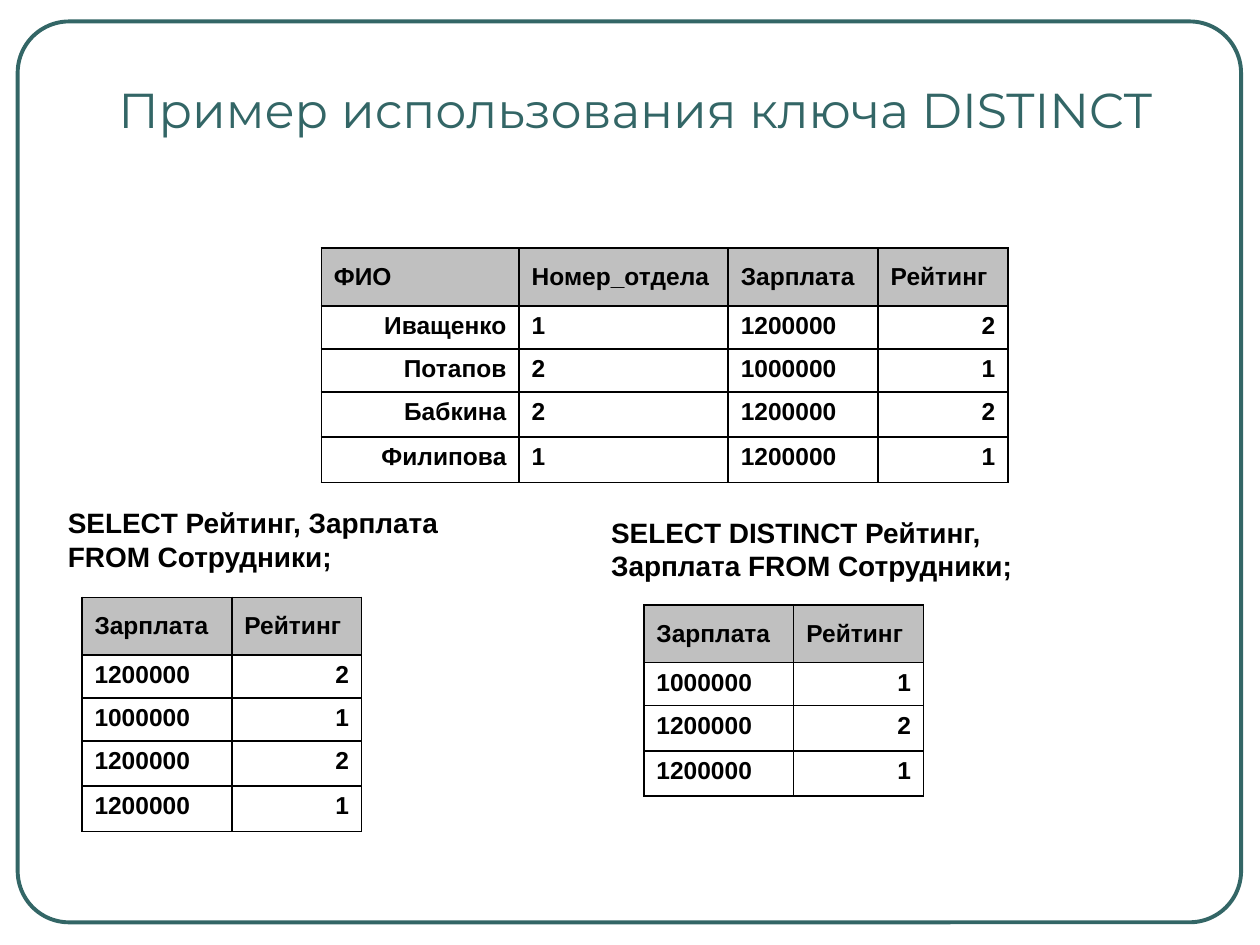
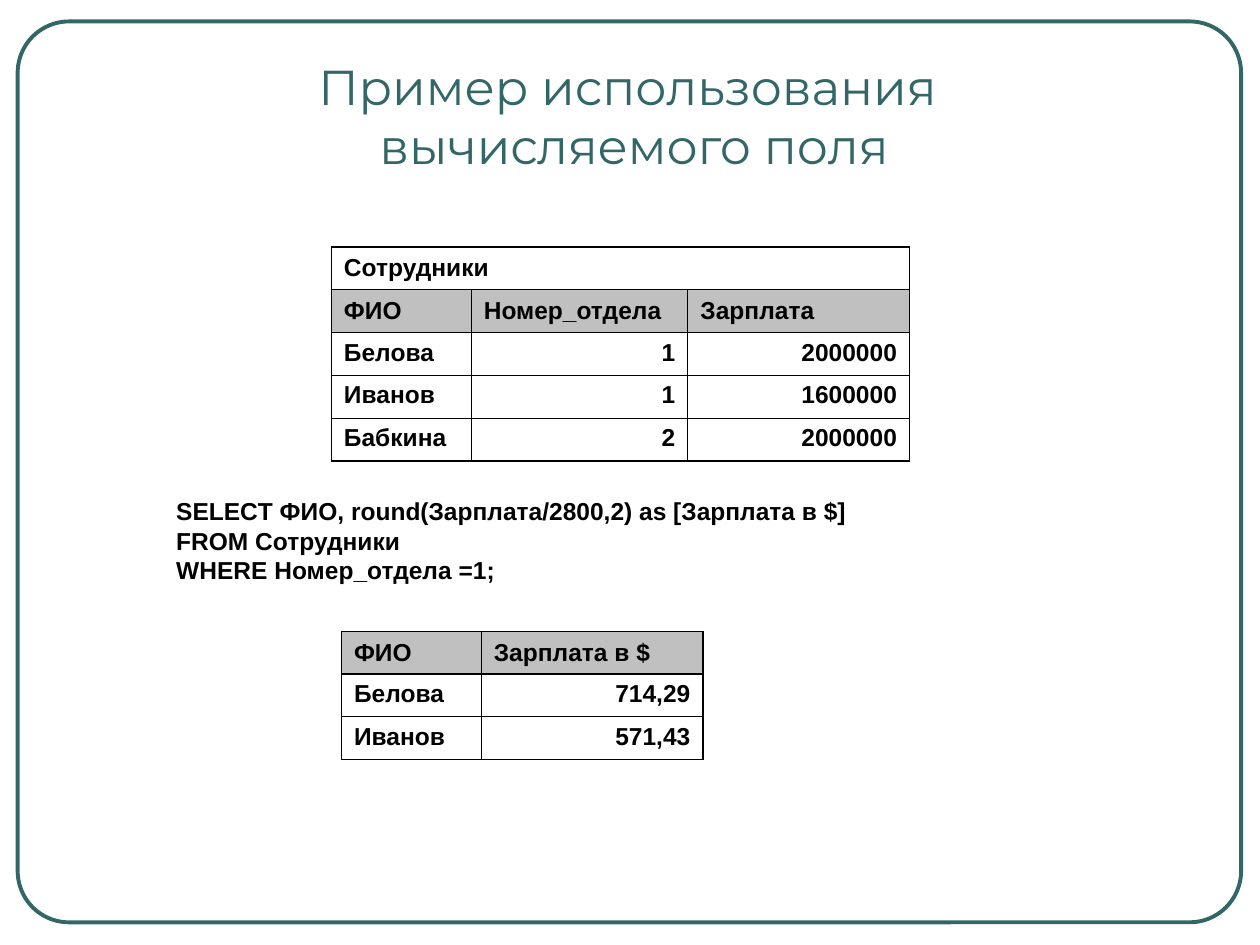
from lxml.etree import SubElement
from pptx import Presentation
from pptx.dml.color import RGBColor
from pptx.enum.shapes import MSO_SHAPE
from pptx.enum.text import MSO_ANCHOR, MSO_AUTO_SIZE, PP_ALIGN
from pptx.oxml.ns import qn
from pptx.util import Inches, Pt

COLORS = {"teal": "336666", "black": "000000", "header": "C0C0C0", "white": "FFFFFF"}
ALIGNMENTS = {"l": PP_ALIGN.LEFT, "r": PP_ALIGN.RIGHT, "c": PP_ALIGN.CENTER}
NAME, DEPARTMENT, SALARY, RATING = "ФИО", "Номер_отдела", "Зарплата", "Рейтинг"
STAFF_WIDTHS = [1.57, 1.66, 1.19, 1.03]
PAY_WIDTHS = [1.11, 1.72, 1.76]
HEADER_HEIGHT, ROW_HEIGHT, TALL_ROW_HEIGHT = 0.46, 0.34, 0.36


def color(name):
    """Return the named colour."""
    return RGBColor.from_string(COLORS[name])


def style(para, size, font="Arial", tint="black", bold=True, align="l"):
    """Format a whole paragraph."""
    para.alignment = ALIGNMENTS[align]
    para.font.size = Pt(size)
    para.font.name = font
    para.font.bold = bold
    para.font.color.rgb = color(tint)


def add_frame(page):
    """Put the rounded frame on the layout that the page uses."""
    frame = page.shapes.add_shape(
        MSO_SHAPE.ROUNDED_RECTANGLE, Inches(0.14), Inches(0.17), Inches(9.71), Inches(7.15))
    frame.adjustments[0] = 0.057
    frame.shadow.inherit = False
    frame.fill.background()
    frame.line.color.rgb = color("teal")
    frame.line.width = Pt(2.25)
    page.slide_layout.shapes.element.append(frame.element)


def add_title(page, text, left, top):
    """Fill and format the title placeholder."""
    title = page.shapes.title
    title.left, title.top = Inches(left), Inches(top)
    title.width, title.height = Inches(8.42), Inches(0.73)
    frame = title.text_frame
    frame.text = text
    frame.auto_size = MSO_AUTO_SIZE.NONE
    frame.vertical_anchor = MSO_ANCHOR.TOP
    for para in frame.paragraphs:
        style(para, 28, "Montserrat", "teal", False, "c")


def add_query(page, text, left, top, width, height, size, wrap=True, inset=0.1):
    """Add the text of a query."""
    box = page.shapes.add_textbox(Inches(left), Inches(top), Inches(width), Inches(height))
    frame = box.text_frame
    frame.word_wrap = wrap
    frame.vertical_anchor = MSO_ANCHOR.MIDDLE
    frame.margin_left = frame.margin_right = Inches(inset)
    frame.text = text
    for para in frame.paragraphs:
        style(para, size)


def add_borders(cell, width):
    """Draw a black line on every side of a cell."""
    properties = cell._tc.get_or_add_tcPr()
    for side in ("a:lnL", "a:lnR", "a:lnT", "a:lnB"):
        line = SubElement(properties, qn(side), w=str(Pt(width)))
        fill = SubElement(line, qn("a:solidFill"))
        SubElement(fill, qn("a:srgbClr"), val=COLORS["black"])


def add_grid(page, rows, left, top, widths, heights, aligns, border, header=0):
    """Add a table whose rows above the header are merged captions."""
    shape = page.shapes.add_table(
        len(rows), len(widths), Inches(left), Inches(top),
        Inches(sum(widths)), Inches(sum(heights)))
    table = shape.table
    table.first_row = table.horz_banding = False
    for column, width in zip(table.columns, widths):
        column.width = Inches(width)
    for index, (row, height) in enumerate(zip(rows, heights)):
        table.rows[index].height = Inches(height)
        for position, align in enumerate(aligns):
            cell = table.cell(index, position)
            add_borders(cell, border)
            cell.fill.solid()
            cell.fill.fore_color.rgb = color("header" if index == header else "white")
            if index <= header:
                cell.vertical_anchor = MSO_ANCHOR.MIDDLE
            if position < len(row):
                cell.text = row[position]
                style(cell.text_frame.paragraphs[0], 14, align=align if index > header else "l")
        if index < header:
            table.cell(index, 0).merge(table.cell(index, len(widths) - 1))


def build_distinct(page):
    """Compare a query with and without DISTINCT."""
    add_title(page, "Пример использования ключа DISTINCT", 0.83, 0.58)
    staff = [
        ("Иващенко", "1", "1200000", "2"),
        ("Потапов", "2", "1000000", "1"),
        ("Бабкина", "2", "1200000", "2"),
        ("Филипова", "1", "1200000", "1"),
    ]
    heights = [HEADER_HEIGHT] + [ROW_HEIGHT] * 2 + [TALL_ROW_HEIGHT] * 2
    add_grid(page, [(NAME, DEPARTMENT, SALARY, RATING)] + staff,
             2.55, 1.97, STAFF_WIDTHS, heights, "rllr", 0.96)

    add_query(page, "SELECT Рейтинг, Зарплата FROM Сотрудники;", 0.44, 3.96, 3.79, 0.64, 16)
    add_query(page, "SELECT DISTINCT Рейтинг, Зарплата FROM Сотрудники;",
              4.85, 4.05, 3.79, 0.61, 16, inset=0)

    selected = [row[2:] for row in staff]
    distinct = [("1000000", "1"), ("1200000", "2"), ("1200000", "1")]
    distinct_heights = [HEADER_HEIGHT, ROW_HEIGHT] + [TALL_ROW_HEIGHT] * 2
    for result, left, top, sizes in ((selected, 0.65, 4.74, heights),
                                     (distinct, 5.11, 4.8, distinct_heights)):
        add_grid(page, [(SALARY, RATING)] + result, left, top,
                 STAFF_WIDTHS[2:], sizes, "lr", 0.96)


def build_computed(page):
    """Show a query with a computed field."""
    add_title(page, "Пример использования \nвычисляемого поля", 0.82, 0.4)
    add_query(page, "SELECT ФИО, round(Зарплата/2800,2) as [Зарплата в $]\n"
                    "FROM Сотрудники\nWHERE Номер_отдела =1;",
              1.3, 3.89, 5.52, 0.8, 14, wrap=False)
    staff = [
        ("Сотрудники",),
        (NAME, DEPARTMENT, SALARY),
        ("Белова", "1", "2000000"),
        ("Иванов", "1", "1600000"),
        ("Бабкина", "2", "2000000"),
    ]
    add_grid(page, staff, 2.63, 1.96, PAY_WIDTHS, [ROW_HEIGHT] * 5, "lrr", 0.75, header=1)
    result = [(NAME, "Зарплата в $"), ("Белова", "714,29"), ("Иванов", "571,43")]
    add_grid(page, result, 2.71, 5.01, PAY_WIDTHS[::2], [ROW_HEIGHT] * 3, "lr", 0.75)


def main():
    """Build and save the deck."""
    deck = Presentation()
    deck.slide_width, deck.slide_height = Inches(10), Inches(7.5)
    layout = deck.slide_layouts.get_by_name("Title Only")
    pages = [deck.slides.add_slide(layout) for _ in range(2)]
    add_frame(pages[0])
    build_distinct(pages[0])
    build_computed(pages[1])
    deck.save("out.pptx")


if __name__ == "__main__":
    main()
